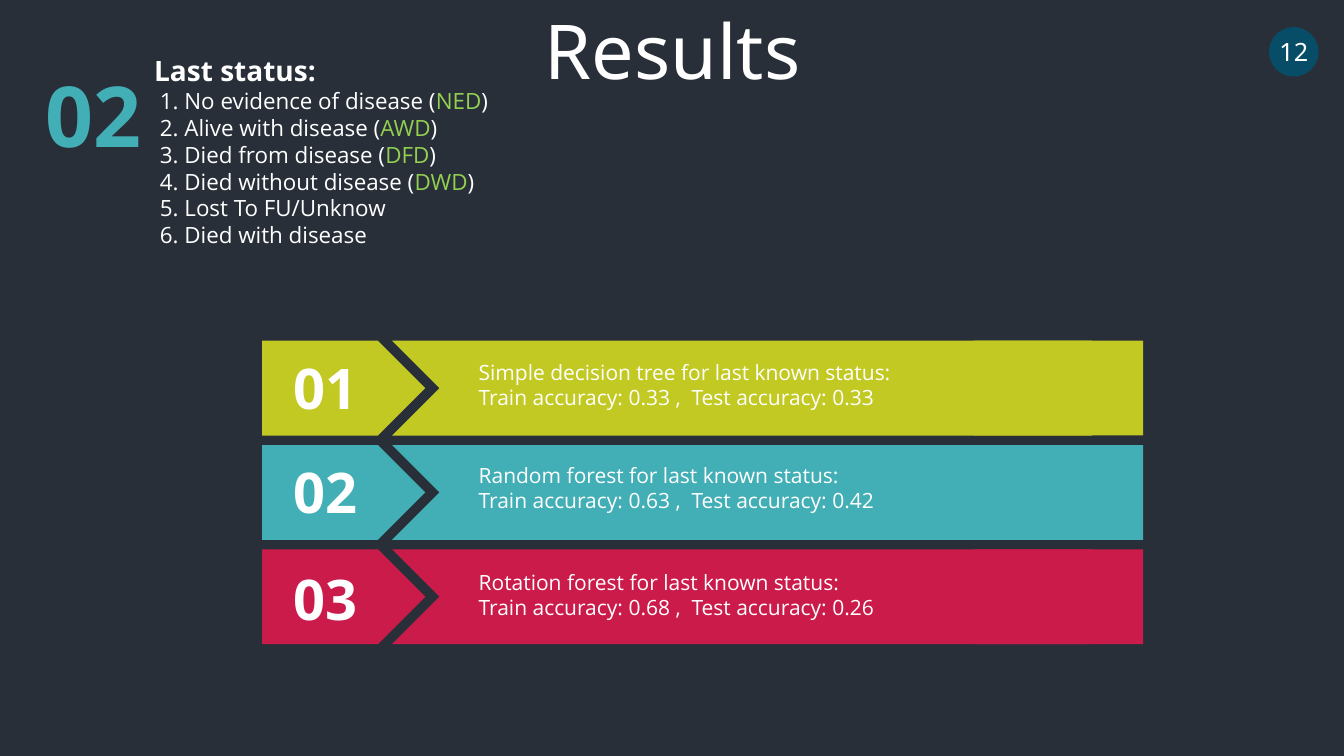
from dataclasses import dataclass

from pptx import Presentation
from pptx.dml.color import RGBColor
from pptx.enum.shapes import MSO_SHAPE
from pptx.enum.text import MSO_ANCHOR, MSO_AUTO_SIZE, PP_ALIGN
from pptx.util import Pt

CENTER, JUSTIFY = PP_ALIGN.CENTER, PP_ALIGN.JUSTIFY
MIDDLE, TOP = MSO_ANCHOR.MIDDLE, MSO_ANCHOR.TOP
FIT_SHAPE = MSO_AUTO_SIZE.SHAPE_TO_FIT_TEXT
ELLIPSE, RECTANGLE = MSO_SHAPE.OVAL, MSO_SHAPE.RECTANGLE
PENTAGON, CHEVRON = MSO_SHAPE.PENTAGON, MSO_SHAPE.CHEVRON

COLORS = {
    "background": "282F39",
    "badge": "074D67",
    "white": "FFFFFF",
    "green": "92D050",
    "lime": "C2C923",
    "teal": "42AFB6",
    "crimson": "CB1B4A",
}
TITLE_FONT, BODY_FONT = "Noto Sans", "Open Sans"

BANNER_TOP, BANNER_PITCH, BANNER_HEIGHT = 243.4, 74.5, 67.7


@dataclass
class Banner:
    number: str
    color: str
    model: str
    train: str
    test: str
    number_offset: float
    text_offset: float


@dataclass
class Status:
    label: str
    code: str = ""


BANNERS = [
    Banner("01", "lime", "Simple decision tree", "0.33", "0.33", 5.7, 10),
    Banner("02", "teal", "Random forest", "0.63", "0.42", 5.4, 9),
    Banner("03", "crimson", "Rotation forest", "0.68", "0.26", 7.2, 10.8),
]
STATUSES = [
    Status("No evidence of disease", "NED"),
    Status("Alive with disease", "AWD"),
    Status("Died from disease", "DFD"),
    Status("Died without disease", "DWD"),
    Status("Lost To FU/Unknow"),
    Status("Died with disease"),
]


def rgb(name: str) -> RGBColor:
    return RGBColor.from_string(COLORS[name])


def add_run(paragraph, text: str, *, size: float, font: str = BODY_FONT,
            color: str = "white", bold: bool = False) -> None:
    run = paragraph.add_run()
    run.text = text
    run.font.name = font
    run.font.size = Pt(size)
    run.font.bold = bold
    run.font.color.rgb = rgb(color)


def add_text_box(shapes, left: float, top: float, width: float, height: float):
    frame = shapes.add_textbox(Pt(left), Pt(top), Pt(width), Pt(height)).text_frame
    frame.word_wrap = True
    frame.auto_size = FIT_SHAPE
    frame.vertical_anchor = TOP
    return frame


def write(frame, lines: list[str], *, align=CENTER, **style) -> None:
    for index, line in enumerate(lines):
        paragraph = frame.add_paragraph() if index else frame.paragraphs[0]
        paragraph.alignment = align
        add_run(paragraph, line, **style)


def add_block(shapes, kind, left: float, top: float, width: float,
              height: float, color: str):
    shape = shapes.add_shape(kind, Pt(left), Pt(top), Pt(width), Pt(height))
    shape.shadow.inherit = False
    shape.fill.solid()
    shape.fill.fore_color.rgb = rgb(color)
    shape.line.fill.background()
    return shape


def add_banner(shapes, banner: Banner, top: float) -> None:
    add_block(shapes, PENTAGON, 187.2, top, 116.6, BANNER_HEIGHT, banner.color)
    body = shapes.add_group_shape().shapes
    add_block(body, CHEVRON, 280.1, top, 533.5, BANNER_HEIGHT, banner.color)
    add_block(body, RECTANGLE, 695.5, top, 121, BANNER_HEIGHT, banner.color)

    number = add_text_box(shapes, 192.2, top + banner.number_offset, 80, 55.4)
    write(number, [banner.number], size=40, bold=True)
    result = add_text_box(shapes, 334.8, top + banner.text_offset, 365.8, 43.9)
    write(result, [
        f"{banner.model} for last known status:",
        f"Train accuracy: {banner.train} ,  Test accuracy: {banner.test}",
    ], size=15, align=JUSTIFY)


def add_status_list(shapes) -> None:
    frame = add_text_box(shapes, 103, 34.6, 421.2, 147.6)
    write(frame, ["Last status:"], size=20, bold=True, align=JUSTIFY)
    for index, status in enumerate(STATUSES, start=1):
        paragraph = frame.add_paragraph()
        paragraph.alignment = JUSTIFY
        bracket = " (" if status.code else ""
        add_run(paragraph, f" {index}. {status.label}{bracket}", size=16)
        if status.code:
            add_run(paragraph, status.code, size=16, color="green")
            add_run(paragraph, ")", size=16)


presentation = Presentation()
presentation.slide_width, presentation.slide_height = Pt(960), Pt(540)
slide = presentation.slides.add_slide(presentation.slide_layouts[6])
slide.background.fill.solid()
slide.background.fill.fore_color.rgb = rgb("background")

# Page number badge
badge = add_block(slide.shapes, ELLIPSE, 906.5, 19.4, 35.3, 35.3, "badge")
badge.text_frame.word_wrap = False
badge.text_frame.vertical_anchor = MIDDLE
write(badge.text_frame, ["12"], size=18, font=TITLE_FONT)

# Title
title = add_text_box(slide.shapes, 99.4, -0.7, 761.8, 72.7)
write(title, ["Results"], size=54, font=TITLE_FONT)

# Accuracy banners
for row, banner in enumerate(BANNERS):
    add_banner(slide.shapes, banner, BANNER_TOP + row * BANNER_PITCH)

# Last status section
add_status_list(slide.shapes)
section_number = add_text_box(slide.shapes, 13, 41.8, 108, 79.9)
write(section_number, ["02"], size=60, color="teal", bold=True)

presentation.save("out.pptx")
